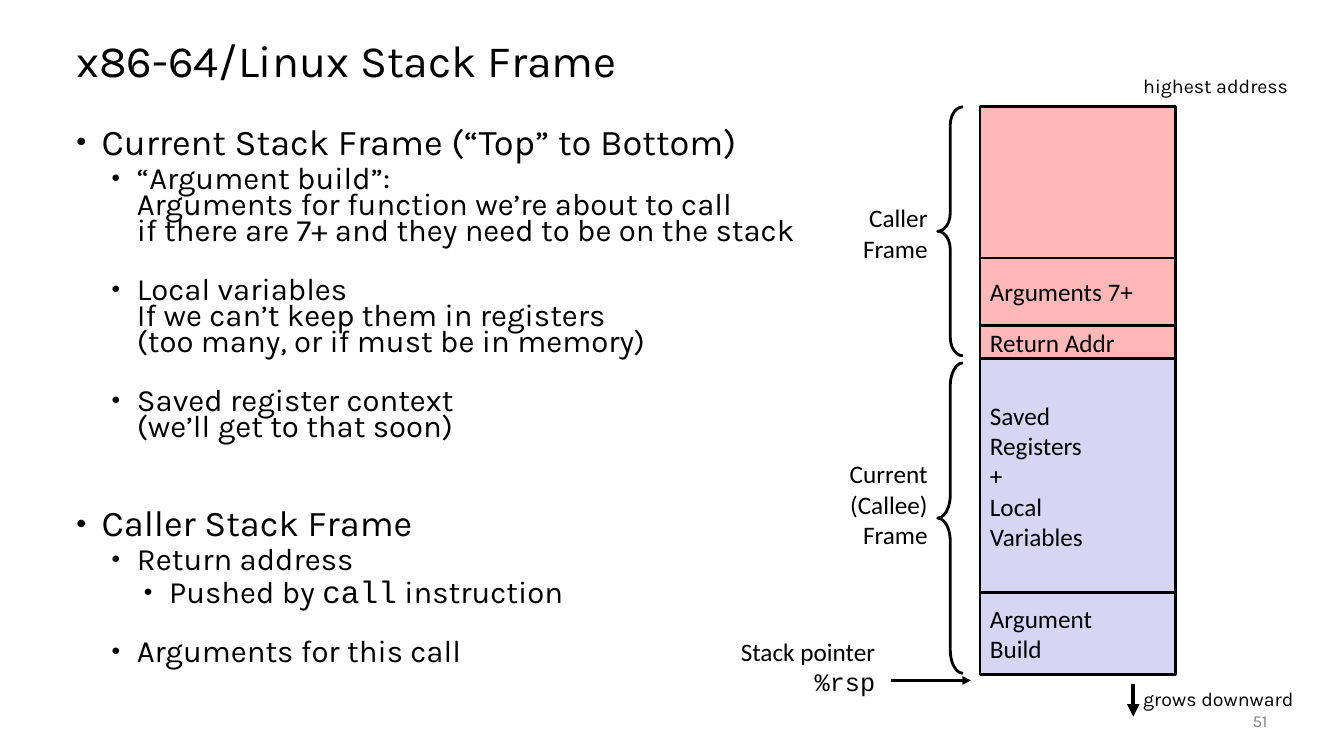
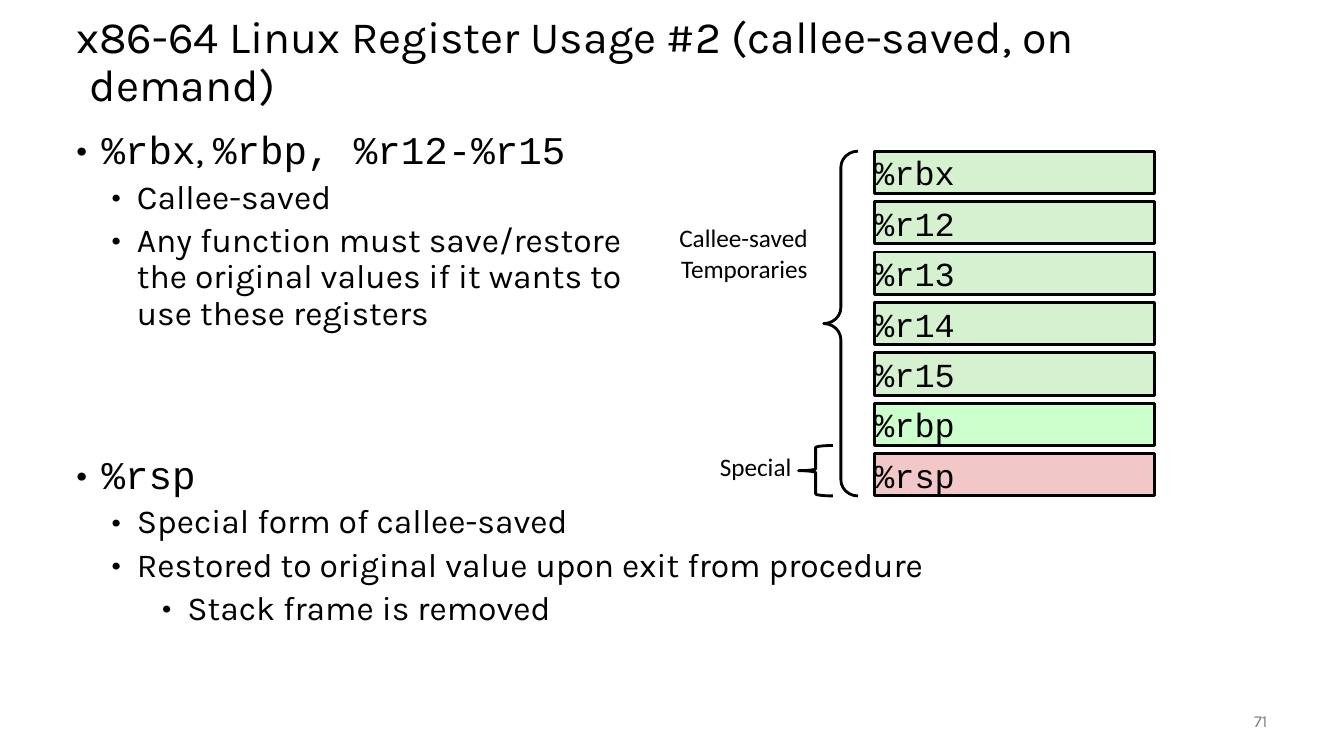
from dataclasses import dataclass

import lxml.etree as etree
import pptx
import pptx.dml.color
import pptx.enum.shapes
import pptx.enum.text
import pptx.oxml.ns
import pptx.util

EMU_PER_PX = 9144
ALIGN = pptx.enum.text.PP_ALIGN
ANCHOR = pptx.enum.text.MSO_ANCHOR
SHAPE = pptx.enum.shapes.MSO_SHAPE
qn = pptx.oxml.ns.qn


@dataclass(frozen=True)
class Theme:
    ink: str = "000000"
    muted: str = "808080"
    caller: str = "FFB8B8"
    callee: str = "D6D6F4"
    saved: str = "D5F1CF"
    base: str = "CCFFCC"
    special: str = "F1C7C7"
    body_font: str = "Karla"
    label_font: str = "Calibri"
    code_font: str = "Courier New"
    title_size: float = 32
    label_size: float = 18
    register_size: float = 24
    note_size: float = 14
    number_size: float = 12
    line_width: float = 2


@dataclass(frozen=True)
class OutlineStyle:
    sizes: tuple
    indents: tuple
    line_spacing: float
    before: tuple = (14, 5, 5)


@dataclass(frozen=True)
class Code:
    text: str


@dataclass(frozen=True)
class Bullet:
    level: int
    spans: tuple
    extra_before: float = 0


THEME = Theme()
DENSE = OutlineStyle((25.9, 22.2, 22.2), (25, 60, 92), 0.7)
ROOMY = OutlineStyle((28, 24, 24), (25, 60, 110), 0.9)


def px(length):
    return pptx.util.Emu(length * EMU_PER_PX)


def color(value):
    return pptx.dml.color.RGBColor.from_string(value)


def add_span(para, text, size, font, ink=THEME.ink):
    for index, line in enumerate(text.split("\n")):
        if index:
            para.add_line_break()
        span = para.add_run()
        span.text = line
        span.font.size = pptx.util.Pt(size)
        span.font.name = font
        span.font.color.rgb = color(ink)


def add_spans(para, spans, size, font):
    for span in spans:
        if isinstance(span, Code):
            add_span(para, span.text, size, THEME.code_font)
        else:
            add_span(para, span, size, font)


def set_indent(para, left, hanging):
    properties = para._p.get_or_add_pPr()
    properties.set("marL", str(px(left)))
    properties.set("indent", str(px(-hanging)))
    return properties


def set_frame(frame, anchor, horizontal, vertical):
    frame.word_wrap = True
    frame.vertical_anchor = anchor
    frame.margin_left = frame.margin_right = px(horizontal)
    frame.margin_top = frame.margin_bottom = px(vertical)


def add_text_box(page, area, anchor=ANCHOR.TOP, horizontal=10, vertical=5):
    box = page.shapes.add_textbox(*map(px, area))
    set_frame(box.text_frame, anchor, horizontal, vertical)
    return box.text_frame


def paragraphs(frame, items):
    for index, item in enumerate(items):
        yield (frame.add_paragraph() if index else frame.paragraphs[0]), item


def add_lines(frame, lines, size, font, align=ALIGN.LEFT):
    for para, line in paragraphs(frame, lines):
        para.alignment = align
        add_spans(para, [line], size, font)


def add_page(deck, title, number):
    page = deck.slides.add_slide(deck.slide_layouts[6])
    para = add_text_box(page, (66, 25, 1200, 75), ANCHOR.MIDDLE).paragraphs[0]
    para.line_spacing = 0.9
    set_indent(para, 13, 13)
    add_span(para, title, THEME.title_size, THEME.body_font)
    para = add_text_box(page, (1167, 695, 100, 40), ANCHOR.MIDDLE).paragraphs[0]
    para.alignment = ALIGN.RIGHT
    add_span(para, number, THEME.number_size, THEME.body_font, THEME.muted)
    return page


def add_outline(page, bullets, style):
    frame = add_text_box(page, (66, 125, 1200, 550))
    for para, bullet in paragraphs(frame, bullets):
        level = bullet.level
        para.level = level
        properties = set_indent(para, style.indents[level], 25)
        etree.SubElement(properties, qn("a:buFont"), typeface=THEME.body_font)
        etree.SubElement(properties, qn("a:buChar"), char="•")
        para.line_spacing = style.line_spacing
        if bullet is not bullets[0]:
            before = style.before[level] + bullet.extra_before
            para.space_before = pptx.util.Pt(before)
        add_spans(para, bullet.spans, style.sizes[level], THEME.body_font)


def add_outlined(page, kind, area):
    shape = page.shapes.add_shape(kind, *map(px, area))
    shape.shadow.inherit = False
    shape.line.color.rgb = color(THEME.ink)
    shape.line.width = pptx.util.Pt(THEME.line_width)
    return shape


def add_block(page, area, fill, lines, size=THEME.label_size, margin=10):
    block = add_outlined(page, SHAPE.RECTANGLE, area)
    block.fill.solid()
    block.fill.fore_color.rgb = color(fill)
    set_frame(block.text_frame, ANCHOR.MIDDLE, margin, 0)
    add_lines(block.text_frame, lines, size, THEME.label_font)


def add_brace(page, area, curve):
    brace = add_outlined(page, SHAPE.LEFT_BRACE, area)
    brace.fill.background()
    brace.adjustments[0] = curve / min(area[2:])


def add_label(page, area, lines):
    frame = add_text_box(page, area, horizontal=4, vertical=4)
    add_lines(frame, lines, THEME.label_size, THEME.label_font, ALIGN.RIGHT)


def add_note(page, area, text):
    add_lines(add_text_box(page, area), [text], THEME.note_size, THEME.body_font)


def add_arrow(page, start, end, width=THEME.line_width):
    arrow = page.shapes.add_connector(
        pptx.enum.shapes.MSO_CONNECTOR.STRAIGHT, *map(px, start + end))
    arrow.line.color.rgb = color(THEME.ink)
    arrow.line.width = pptx.util.Pt(width)
    etree.SubElement(arrow.line._get_or_add_ln(), qn("a:tailEnd"), type="triangle")
    etree.SubElement(arrow._element.spPr, qn("a:effectLst"))


def build_stack_frame(deck):
    page = add_page(deck, "x86-64/Linux Stack Frame", "51")
    gap = 18.5
    add_outline(page, [
        Bullet(0, ("Current Stack Frame (“Top” to Bottom)",)),
        Bullet(1, ("“Argument build”:\nArguments for function we’re about to call\n"
                   "if there are 7+ and they need to be on the stack",)),
        Bullet(1, ("Local variables\nIf we can’t keep them in registers\n"
                   "(too many, or if must be in memory)",), gap),
        Bullet(1, ("Saved register context\n(we’ll get to that soon)",), gap),
        Bullet(0, ("Caller Stack Frame",), 35.5),
        Bullet(1, ("Return address",)),
        Bullet(2, ("Pushed by ", Code("call"), " instruction")),
        Bullet(1, ("Arguments for this call",), gap),
    ], DENSE)

    top = 106
    for height, fill, lines in (
        (150, THEME.caller, ()),
        (67, THEME.caller, ("Arguments 7+",)),
        (33, THEME.caller, ("Return Addr",)),
        (232, THEME.callee, ("Saved", "Registers", "+", "Local", "Variables")),
        (81, THEME.callee, ("Argument", "Build")),
    ):
        add_block(page, (972, top, 194, height), fill, lines)
        top += height

    add_brace(page, (930, 106, 25, 247), 18)
    add_brace(page, (930, 360, 25, 308), 23)
    add_label(page, (849, 197, 75, 69), ("Caller", "Frame"))
    add_label(page, (810, 451, 114, 99), ("Current", "(Callee)", "Frame"))
    add_label(page, (710, 627, 162, 67), ("Stack pointer", Code("%rsp")))
    add_arrow(page, (884, 675), (963, 675))
    add_note(page, (1124, 68, 200, 34), "highest address")
    add_note(page, (1124, 677, 200, 34), "grows downward")
    add_arrow(page, (1124, 679), (1124, 711), 3)


def build_register_usage(deck):
    page = add_page(
        deck, "x86-64 Linux Register Usage #2 (callee-saved, on demand)", "71")
    add_outline(page, [
        Bullet(0, (Code("%rbx"), ", ", Code("%rbp, %r12-%r15"))),
        Bullet(1, ("Callee-saved",)),
        Bullet(1, ("Any function must save/restore\nthe original values if it wants to\n"
                   "use these registers",)),
        Bullet(0, (Code("%rsp"),), 74),
        Bullet(1, ("Special form of callee-saved",)),
        Bullet(1, ("Restored to original value upon exit from procedure",)),
        Bullet(2, ("Stack frame is removed",)),
    ], ROOMY)

    registers = [(name, THEME.saved) for name in ("%rbx", "%r12", "%r13", "%r14", "%r15")]
    registers += [("%rbp", THEME.base), ("%rsp", THEME.special)]
    for row, (name, fill) in enumerate(registers):
        add_block(page, (867, 150 + 50 * row, 278, 42), fill, [Code(name)],
                  THEME.register_size, 0)

    add_brace(page, (817, 150, 34, 342), 16)
    add_brace(page, (792, 442, 34, 50), 2)
    add_label(page, (667, 217, 138, 69), ("Callee-saved", "Temporaries"))
    add_label(page, (706, 444, 83, 39), ("Special",))


def main():
    deck = pptx.Presentation()
    deck.slide_width = px(1333)
    deck.slide_height = px(750)
    build_stack_frame(deck)
    build_register_usage(deck)
    deck.save("out.pptx")


if __name__ == "__main__":
    main()
